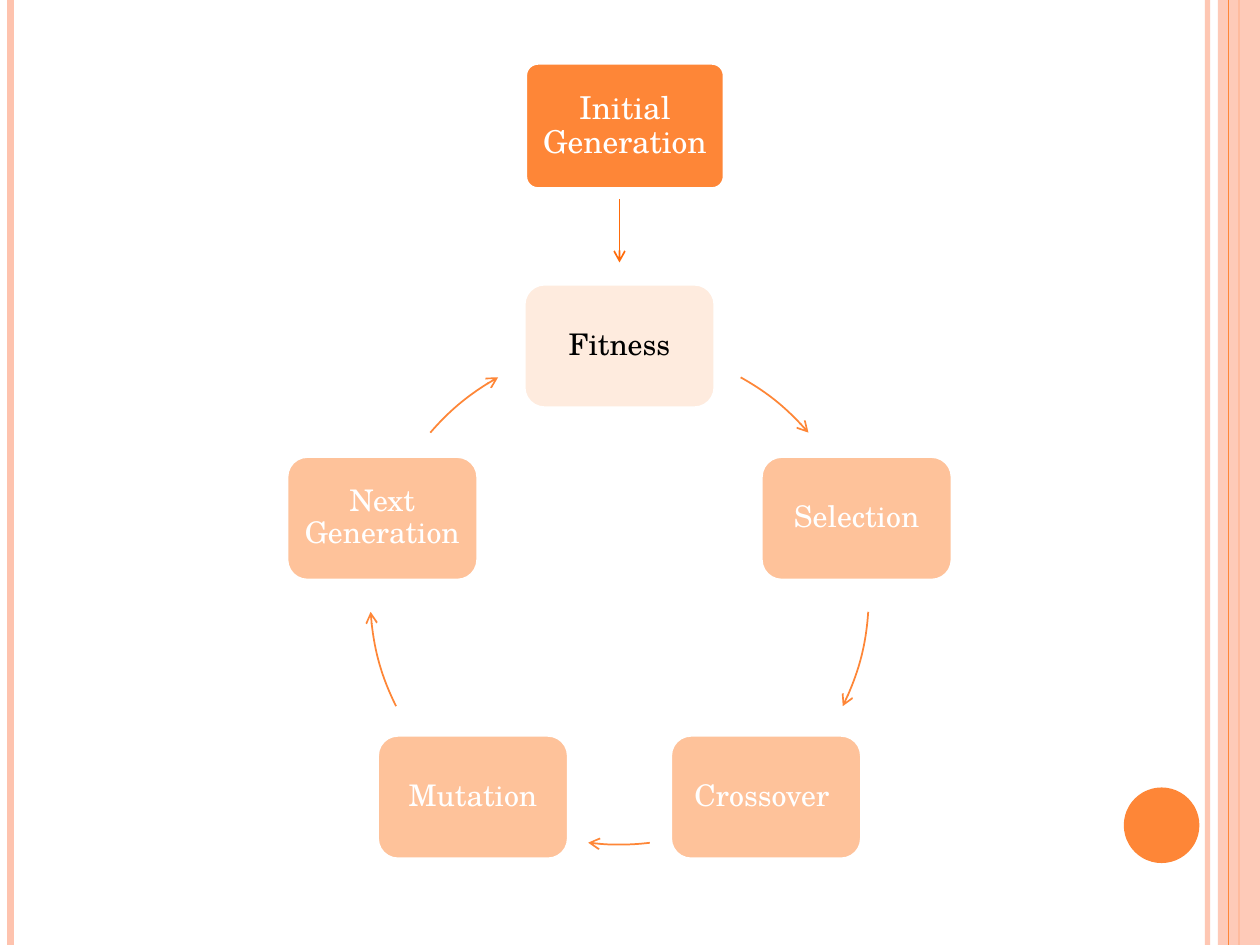
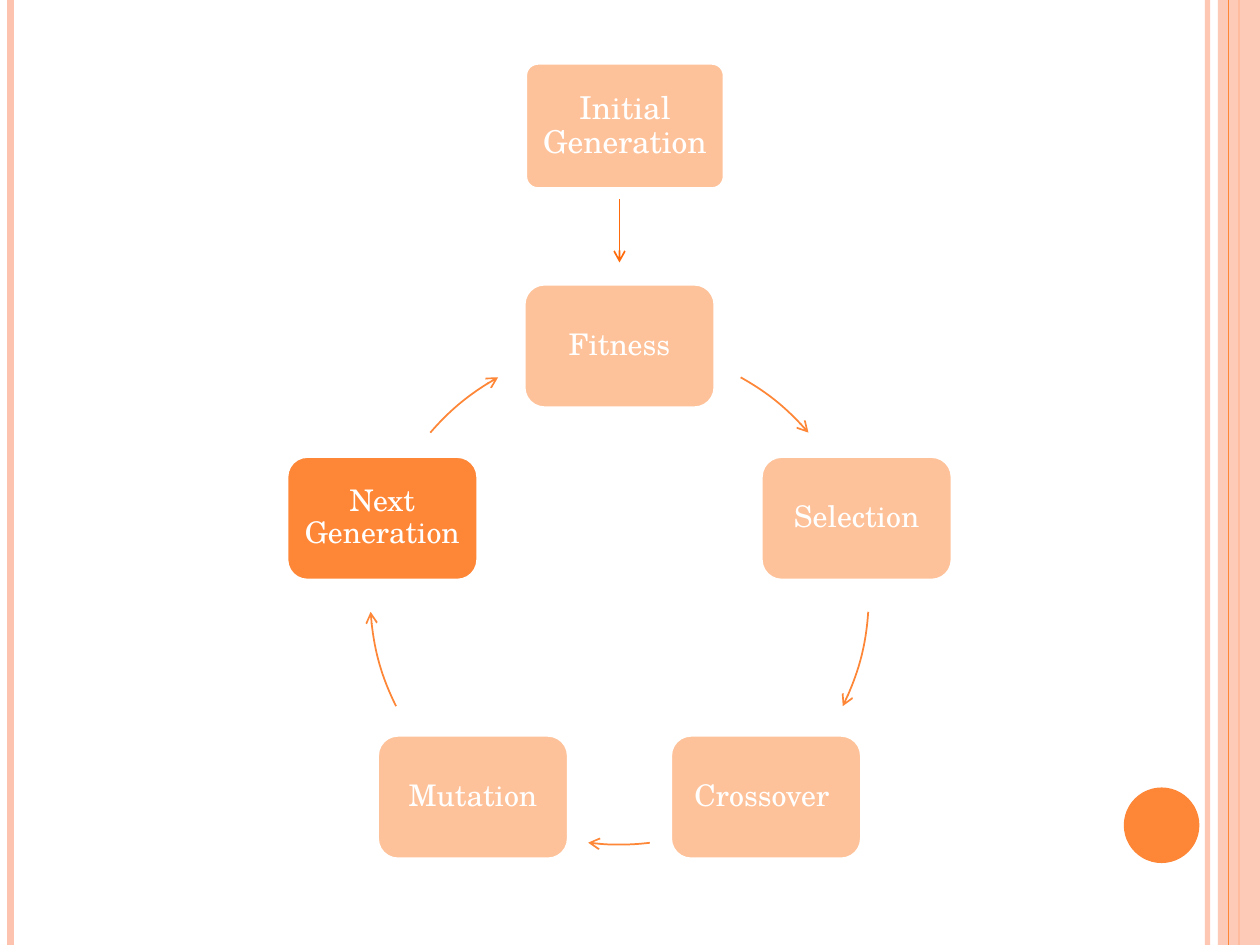
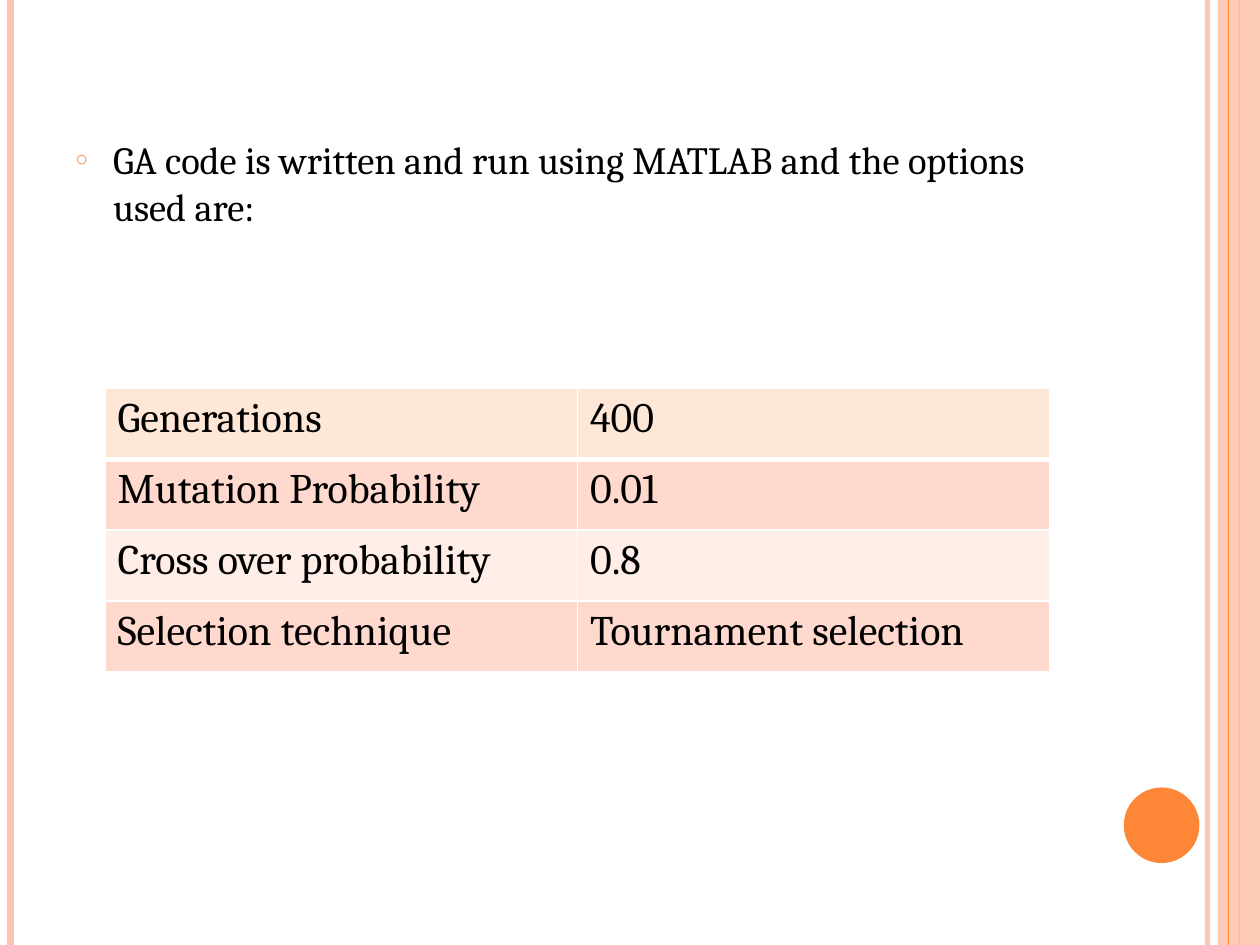
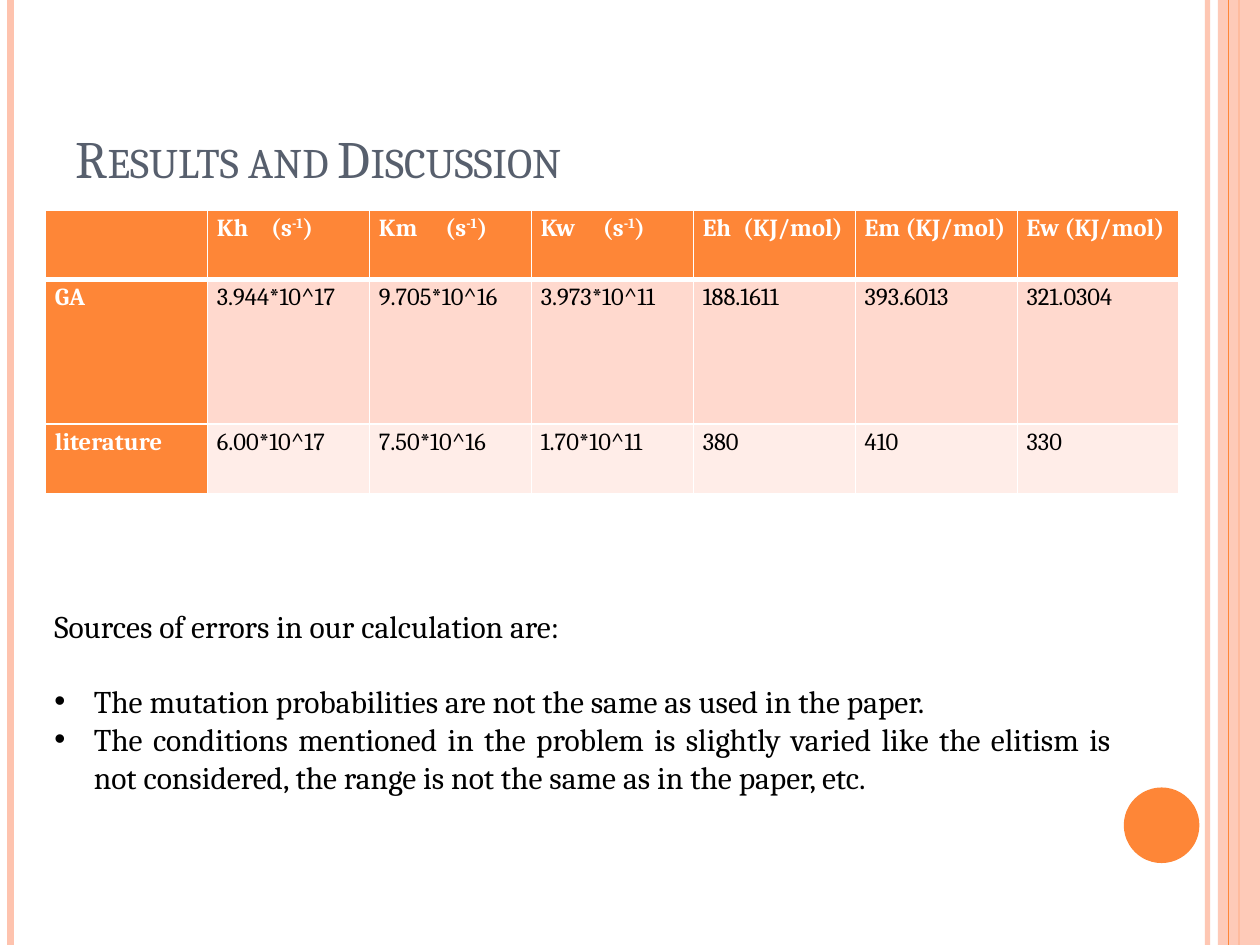
"""Build four slides on a genetic algorithm: two cycles, its options and its results."""
from math import cos, radians, sin

from pptx import Presentation
from pptx.dml.color import RGBColor as RGB
from pptx.enum.shapes import MSO_CONNECTOR as LINE, MSO_SHAPE as SHAPE
from pptx.enum.text import MSO_ANCHOR as ANCHOR, PP_ALIGN as ALIGN
from pptx.oxml.ns import qn
from pptx.oxml.xmlchemy import OxmlElement as Node
from pptx.util import Pt

ORANGE = RGB(0xFE, 0x86, 0x37)
DEEP = RGB(0xFF, 0x6B, 0x0A)
PEACH = RGB(0xFE, 0xC3, 0xAE)
CREAM = RGB(0xFF, 0xE7, 0xD7)
ROSE = RGB(0xFF, 0xD9, 0xCE)
BLUSH = RGB(0xFF, 0xED, 0xE8)
SLATE = RGB(0x57, 0x5F, 0x6D)
WHITE = RGB(0xFF, 0xFF, 0xFF)
BLACK = RGB(0, 0, 0)
SERIF, SCHOOL = "Cambria", "TeX Gyre Schola"
WIDE, HIGH = 720, 540

START = "Initial Generation"
STEPS = ["Fitness", "Selection", "Crossover ", "Mutation", "Next Generation "]
ARCS = [(299.1, 319.3), (3.8, 26.4), (83, 97.2), (153.6, 176.2), (220.7, 240.9)]
HUB, RADIUS = (354, 340.2), 142.5
FADED = (50, WHITE)
CYCLES = [
    {START: (100, WHITE), "Fitness": (16, BLACK)},
    {"Next Generation ": (100, WHITE)},
]

INTRO = "GA code is written and run using MATLAB and the options used are:"
OPTIONS = [
    ["Generations", "400"],
    ["Mutation Probability", "0.01"],
    ["Cross over probability", "0.8"],
    ["Selection technique", "Tournament selection"],
]

TITLE = "Results and Discussion"
RATE = [("-1", 30), (")", 0)]
RESULTS = [
    ["", [("Kh\t(s", 0), *RATE], [("Km\t(s", 0), *RATE], [("Kw\t(s", 0), *RATE],
     "Eh\t(KJ/mol)", "Em (KJ/mol)", "Ew (KJ/mol)"],
    ["GA", "3.944*10^17", "9.705*10^16", "3.973*10^11", "188.1611", "393.6013", "321.0304"],
    ["literature", "6.00*10^17", "7.50*10^16", "1.70*10^11", "380", "410", "330"],
]
TABS = {1: 31, 2: 38, 3: 35.5, 4: 23}
CAUSE = "Sources of errors in our calculation are:"
ERRORS = [
    "The mutation probabilities are not the same as used in the paper.",
    "The conditions mentioned in the problem is slightly varied like the elitism is not "
    "considered, the range is not the same as in the paper, etc.",
]


def child(host, tag, **attrs):
    node = Node(tag)
    for key, val in attrs.items():
        node.set(key, str(val))
    host.append(node)
    return node


def fade(part, alpha):
    if alpha < 100:
        paint = next(part._element.spPr.iter(qn("a:solidFill")))
        child(paint[0], "a:alpha", val=alpha * 1000)


def tip(part):
    child(part.line._get_or_add_ln(), "a:tailEnd", type="arrow")


def rule(slide, start, end, color, width, alpha=100):
    line = slide.shapes.add_connector(LINE.STRAIGHT, *map(Pt, start + end))
    line.line.color.rgb = color
    line.line.width = Pt(width)
    child(line._element.spPr, "a:effectLst")
    fade(line, alpha)
    return line


def shape(slide, kind, box, fill=None, alpha=100, edge=None, width=1):
    part = slide.shapes.add_shape(kind, *map(Pt, box))
    part.shadow.inherit = False
    if fill is None:
        part.fill.background()
    else:
        part.fill.solid()
        part.fill.fore_color.rgb = fill
        fade(part, alpha)
    if edge is None:
        part.line.fill.background()
    else:
        part.line.color.rgb = edge
        part.line.width = Pt(width)
    return part


def write(para, text, size, color=BLACK, face=SERIF, bold=False):
    for words, lift in [(text, 0)] if isinstance(text, str) else text:
        run = para.add_run()
        run.text = words
        font = run.font
        font.name, font.size, font.bold = face, Pt(size), bold
        font.color.rgb = color
        if lift:
            run._r.get_or_add_rPr().set("baseline", str(lift * 1000))


def bullet(para, mark, indent, color=BLACK, scale=100):
    props = para._p.get_or_add_pPr()
    props.set("marL", str(Pt(indent)))
    props.set("indent", str(-Pt(indent)))
    child(child(props, "a:buClr"), "a:srgbClr", val=color)
    child(props, "a:buSzPct", val=scale * 1000)
    child(props, "a:buFont", typeface="Arial")
    child(props, "a:buChar", char=mark)


def frame(slide, box, top=3.6):
    text = slide.shapes.add_textbox(*map(Pt, box)).text_frame
    text.word_wrap = True
    text.margin_top = Pt(top)
    return text


def page(deck):
    slide = deck.slides.add_slide(deck.slide_layouts[6])
    for x, color, width, alpha in [(690, PEACH, 3, 93), (6, PEACH, 4.5, 100), (708, ORANGE, 1.5, 100)]:
        rule(slide, (x, 0), (x, HIGH), color, width, alpha)
    shape(slide, SHAPE.RECTANGLE, (696, 0, 24, HIGH), PEACH, 87)
    rule(slide, (702, 0), (702, HIGH), ORANGE, 0.75)
    shape(slide, SHAPE.OVAL, (642.2, 450, 43.2, 43.2), ORANGE)
    return slide


def card(slide, label, box, look, size):
    alpha, ink = look
    part = shape(slide, SHAPE.ROUNDED_RECTANGLE, box, ORANGE, alpha, WHITE, 2)
    text = part.text_frame
    text.word_wrap = True
    text.vertical_anchor = ANCHOR.MIDDLE
    text.margin_left = text.margin_right = Pt(5)
    para = text.paragraphs[0]
    para.alignment = ALIGN.CENTER
    para.line_spacing = 0.9
    write(para, label, size, ink, SCHOOL)
    return part


def cycle(slide, looks):
    x, y = HUB
    wide, high = 109.4, 71
    ring = (x - RADIUS, y - RADIUS, 2 * RADIUS, 2 * RADIUS)
    for i, (label, ends) in enumerate(zip(STEPS, ARCS)):
        turn = radians(360 / len(STEPS) * i - 90)
        left = x + RADIUS * cos(turn) - wide / 2
        top = y + RADIUS * sin(turn) - high / 2
        card(slide, label, (left, top, wide, high), looks.get(label, FADED), 17)
        arc = shape(slide, SHAPE.ARC, ring, edge=ORANGE)
        for j, angle in enumerate(ends):
            arc.adjustments[j] = angle * 0.6
        tip(arc)
    first = card(slide, START, (300.2, 36, 113.8, 72), looks.get(START, FADED), 18)
    first.adjustments[0] = 0.1
    tip(rule(slide, (x, 114), (x, 150), DEEP, 1))


def border(cell, row):
    props = cell._tc.get_or_add_tcPr()
    for side in "LRTB":
        thick = (side, row) in (("B", 0), ("T", 1))
        line = child(props, "a:ln" + side, w=Pt(3 if thick else 1))
        child(child(line, "a:solidFill"), "a:srgbClr", val=WHITE)


def grid(slide, data, box, rows, size, style):
    """Add a table; style(row, column) gives the fill, ink and weight of a cell."""
    count = len(data[0])
    table = slide.shapes.add_table(len(data), count, *map(Pt, box)).table
    table.first_row = table.horz_banding = False
    for col in table.columns:
        col.width = Pt(box[2] / count)
    for r, line in enumerate(data):
        table.rows[r].height = Pt(rows[r])
        for c, text in enumerate(line):
            cell = table.cell(r, c)
            fill, ink, bold = style(r, c)
            border(cell, r)
            cell.fill.solid()
            cell.fill.fore_color.rgb = fill
            if text:
                write(cell.text_frame.paragraphs[0], text, size, ink, bold=bold)
    return table


def band(row):
    return ROSE if row % 2 else BLUSH


def options(slide):
    para = frame(slide, (36, 42, 588, 468), 36).paragraphs[0]
    bullet(para, "○", 21.6, ORANGE, 55)
    write(para, INTRO, 22)
    grid(slide, OPTIONS, (60, 222, 540, 162), [40.5] * 4, 24,
         lambda r, c: (band(r) if r else CREAM, BLACK, False))


def results(slide):
    head = frame(slide, (36, 21.6, 588, 90))
    head.vertical_anchor = ANCHOR.BOTTOM
    write(head.paragraphs[0], TITLE, 30, SLATE)
    head.paragraphs[0].runs[0]._r.get_or_add_rPr().set("cap", "small")

    text = frame(slide, (24, 300, 618, 160), 47)
    para = text.paragraphs[0]
    para.alignment = ALIGN.JUSTIFY
    para.space_after = Pt(21.2)
    write(para, CAUSE, 18)
    for line in ERRORS:
        para = text.add_paragraph()
        para.alignment = ALIGN.JUSTIFY
        bullet(para, "•", 22.5)
        write(para, line, 18)

    table = grid(slide, RESULTS, (26, 120, 648, 162), [39.6, 82.6, 39.8], 14,
                 lambda r, c: (band(r), BLACK, False) if r and c else (ORANGE, WHITE, True))
    for cell in table.iter_cells():
        cell.margin_left = cell.margin_right = Pt(5.4)
        cell.margin_top = cell.margin_bottom = 0
        cell.text_frame.paragraphs[0].line_spacing = 1.15
    for c, stop in TABS.items():
        para = table.cell(0, c).text_frame.paragraphs[0]
        stops = child(para._p.get_or_add_pPr(), "a:tabLst")
        child(stops, "a:tab", pos=Pt(stop), algn="l")


def main():
    deck = Presentation()
    deck.slide_width, deck.slide_height = Pt(WIDE), Pt(HIGH)
    for looks in CYCLES:
        cycle(page(deck), looks)
    options(page(deck))
    results(page(deck))
    deck.save("out.pptx")


if __name__ == "__main__":
    main()
